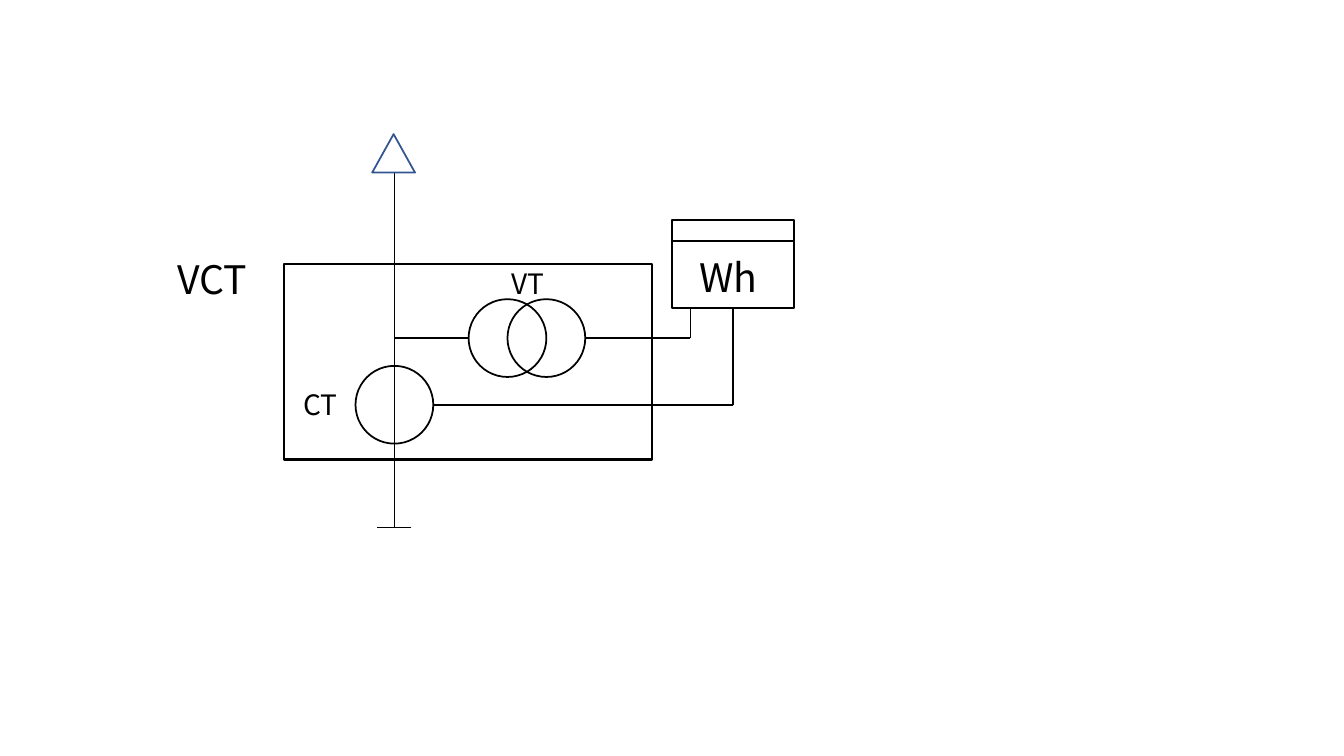
from lxml.etree import SubElement
from pptx import Presentation
from pptx.dml.color import RGBColor
from pptx.enum.shapes import MSO_CONNECTOR as LINK, MSO_SHAPE as SHAPE
from pptx.enum.text import MSO_AUTO_SIZE as AUTO_SIZE, PP_ALIGN as ALIGN
from pptx.oxml.ns import qn
from pptx.util import Cm, Pt

BLACK = "000000"
BLUE = "325491"
FONT = "Noto Sans CJK JP"


def paint(color_format, color):
    """Set a colour from a hex string."""
    color_format.rgb = RGBColor.from_string(color)


def add_outline(slide, kind, left, top, width, height, color=BLACK, weight=1.25):
    """Draw an unfilled shape."""
    outline = slide.shapes.add_shape(kind, Cm(left), Cm(top), Cm(width), Cm(height))
    outline.shadow.inherit = False
    outline.fill.background()
    paint(outline.line.color, color)
    outline.line.width = Pt(weight)


def add_winding(slide, center_x, center_y, radius=0.98):
    """Draw a transformer winding around its centre."""
    add_outline(slide, SHAPE.OVAL, center_x - radius, center_y - radius,
                2 * radius, 2 * radius)


def add_wire(slide, x1, y1, x2, y2):
    """Draw a straight wire between two points."""
    wire = slide.shapes.add_connector(LINK.STRAIGHT, Cm(x1), Cm(y1), Cm(x2), Cm(y2))
    paint(wire.line.color, BLACK)
    wire.line.width = Pt(1.25)
    SubElement(wire._element.spPr, qn("a:effectLst"))


def add_label(slide, text, left, top, width, height, size):
    """Write a one-line label that does not wrap."""
    label = slide.shapes.add_textbox(Cm(left), Cm(top), Cm(width), Cm(height))
    frame = label.text_frame
    frame.word_wrap = False
    frame.auto_size = AUTO_SIZE.SHAPE_TO_FIT_TEXT
    paragraph = frame.paragraphs[0]
    paragraph.alignment = ALIGN.LEFT
    run = paragraph.add_run()
    run.text = text
    run.font.size = Pt(size)
    run.font.name = FONT
    paint(run.font.color, BLACK)


def main():
    """Build the metering transformer diagram."""
    deck = Presentation()
    deck.slide_width, deck.slide_height = Cm(33.87), Cm(19.05)
    slide = deck.slides.add_slide(deck.slide_layouts[6])

    feeder_x, feeder_top, feeder_end = 9.94, 4.34, 13.29
    vt_y, ct_y = 8.52, 10.2
    meter_left, meter_right, meter_bottom = 16.94, 20.01, 7.76
    vt_terminal, ct_terminal = 17.4, 18.47

    add_outline(slide, SHAPE.RECTANGLE, 7.16, 6.65, 9.27, 4.93, weight=1.5)
    add_outline(slide, SHAPE.RECTANGLE, meter_left, 5.54, 3.07, 2.22, weight=1.5)
    for x, y in [(12.79, vt_y), (13.77, vt_y), (feeder_x, ct_y)]:
        add_winding(slide, x, y)

    for ends in [
        (feeder_x, feeder_top, feeder_x, feeder_end),
        (11.81, vt_y, feeder_x, vt_y),
        (vt_terminal, vt_y, 14.75, vt_y),
        (vt_terminal, meter_bottom, vt_terminal, vt_y),
        (ct_terminal, meter_bottom, ct_terminal, ct_y),
        (ct_terminal, ct_y, 10.92, ct_y),
        (meter_right, 6.07, meter_left, 6.07),
        (feeder_x + 0.43, feeder_end, feeder_x - 0.43, feeder_end),
    ]:
        add_wire(slide, *ends)

    add_outline(slide, SHAPE.ISOSCELES_TRIANGLE, 9.38, 3.38, 1.08, 0.97, color=BLUE)

    add_label(slide, "Wh", 17.37, 6.25, 2.01, 1.45, 28)
    add_label(slide, "VCT", 4.22, 6.3, 2.46, 1.45, 28)
    add_label(slide, "VT", 12.65, 6.6, 1.42, 1.12, 20)
    add_label(slide, "CT", 7.39, 9.63, 1.45, 1.12, 20)

    deck.save("out.pptx")


if __name__ == "__main__":
    main()
